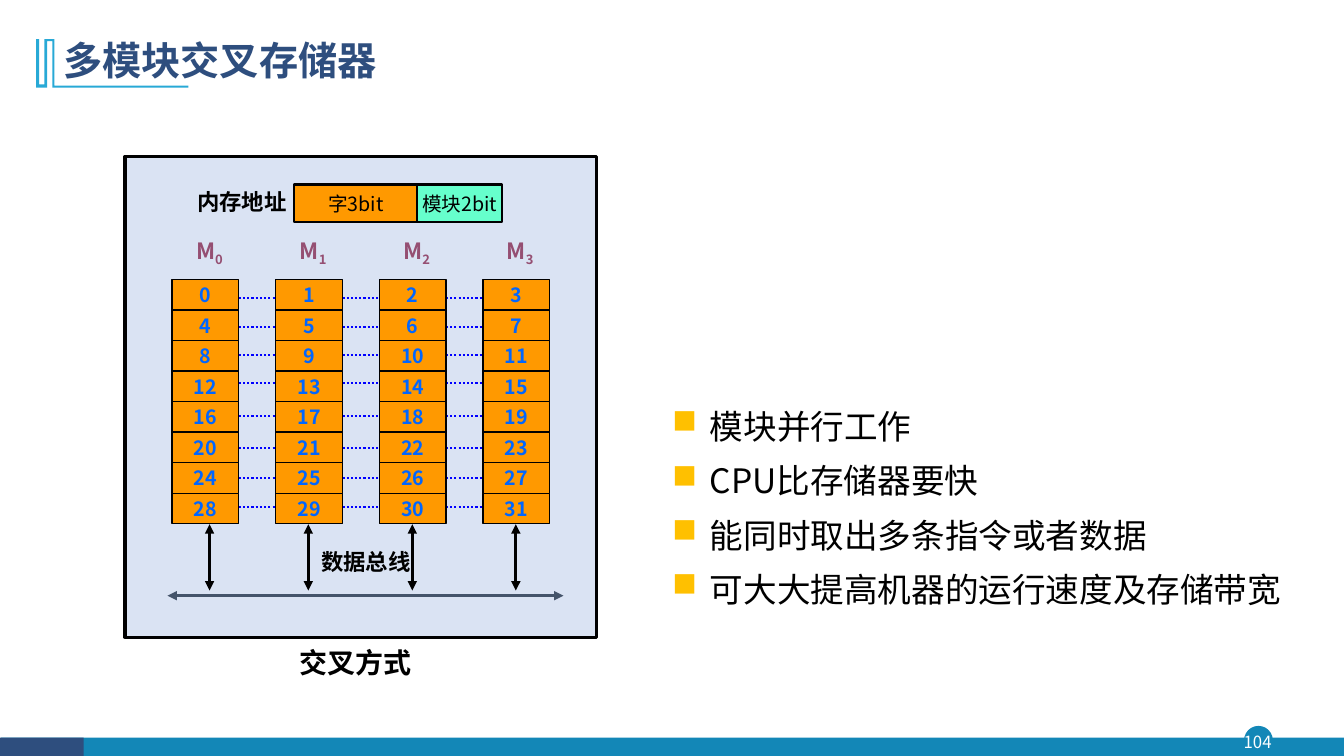
from lxml import etree
from pptx import Presentation
from pptx import util as u
from pptx.dml.color import RGBColor
from pptx.enum import dml, shapes, text
from pptx.oxml.ns import qn

# Content; all lengths in cm
FONT = "Noto Sans CJK SC"
TITLE = "多模块交叉存储器"
PAGE_NUMBER = "104"
POINTS = [
    "模块并行工作",
    "CPU比存储器要快",
    "能同时取出多条指令或者数据",
    "可大大提高机器的运行速度及存储带宽",
]
LABELS = [
    ("内存地址", (4.55, 4.62, 3.1, 0.94), 16),
    ("数据总线", (7.67, 13.69, 3.1, 0.94), 16),
    ("交叉方式", (6.83, 16.13, 4.27, 1.12), 20),
]
ADDRESS_FIELDS = [
    ("模块2bit", (10.52, 4.65, 2.13, 0.94), "66FFCC"),
    ("字3bit", (7.42, 4.65, 3.1, 0.94), "FF9900"),
]
FOOTER = [
    (shapes.MSO_SHAPE.OVAL, (31.37, 18.31, 0.69, 0.69), "1387B7", ("1387B7", 1)),
    (shapes.MSO_SHAPE.RECTANGLE, (0.03, 18.59, 33.84, 0.46), "1387B7", None),
    (shapes.MSO_SHAPE.RECTANGLE, (0, 18.59, 2.11, 0.46), "2E4E7E", None),
]
TITLE_MARK = [
    (1.37, 0.99), (1.37, 2.16), (4.75, 2.16), (4.75, 2.21), (1.32, 2.21),
    (1.32, 1.04), (1.19, 1.04), (1.19, 2.21), (0.91, 2.21), (0.91, 0.99),
    (0.99, 0.99), (0.99, 2.13), (1.12, 2.13), (1.12, 0.99),
]
MODULES, WORDS = 4, 8
MODULE_LEFT, MODULE_TOP, MODULE_PITCH = 4.34, 7.04, 2.61
CELL_WIDTH, CELL_HEIGHT = 1.68, 0.77
DOT_ROWS = [7.52, 8.23, 8.94, 9.65, 10.49, 11.28, 12.04, 12.78]
BUS_ARROWS = [5.28, 7.77, 10.39, 13.0]

presentation = Presentation()
presentation.slide_width, presentation.slide_height = u.Cm(33.87), u.Cm(19.05)
slide = presentation.slides.add_slide(presentation.slide_layouts[6])


def color(target, value):
    target.rgb = RGBColor.from_string(value)


def apply(target, values):
    for name, value in values.items():
        setattr(target, name, value)


def box(cm):
    return [u.Cm(value) for value in cm]


def add_run(paragraph, words, size, ink, bold=False):
    run = paragraph.add_run()
    run.text = words
    apply(run.font, {"name": FONT, "size": u.Pt(size), "bold": bold})
    color(run.font.color, ink)
    properties = run.font._element
    etree.SubElement(properties, qn("a:ea"), typeface=FONT)
    return properties


def paint(shape, fill, line=None):
    shape.shadow.inherit = False
    shape.fill.solid()
    color(shape.fill.fore_color, fill)
    if line:
        color(shape.line.color, line[0])
        shape.line.width = u.Pt(line[1])
    else:
        shape.line.fill.background()


def add_shape(kind, place, fill, line=None):
    shape = slide.shapes.add_shape(kind, *box(place))
    paint(shape, fill, line)
    return shape


def add_labelled_box(words, place, fill, width, ink, bold=False):
    shape = add_shape(shapes.MSO_SHAPE.RECTANGLE, place, fill, ("000000", width))
    apply(shape.text_frame, {"word_wrap": False, "vertical_anchor": text.MSO_ANCHOR.MIDDLE})
    paragraph = shape.text_frame.paragraphs[0]
    paragraph.alignment = text.PP_ALIGN.CENTER
    add_run(paragraph, words, 14, ink, bold)


def add_text(place, align=text.PP_ALIGN.CENTER, **frame_values):
    """Add a wrapping text box and return its first paragraph."""
    frame = slide.shapes.add_textbox(*box(place)).text_frame
    apply(frame, {"word_wrap": True, **frame_values})
    frame.paragraphs[0].alignment = align
    return frame.paragraphs[0]


def add_line(start, end, ink, width, dotted=False):
    """Add a dotted line, or a solid one with an arrowhead at both ends."""
    line = slide.shapes.add_connector(shapes.MSO_CONNECTOR.STRAIGHT, *box(start + end))
    color(line.line.color, ink)
    line.line.width = u.Pt(width)
    if dotted:
        line.line.dash_style = dml.MSO_LINE.ROUND_DOT
    else:
        for end_name in ("a:headEnd", "a:tailEnd"):
            etree.SubElement(line.line._get_or_add_ln(), qn(end_name), type="triangle")
    etree.SubElement(line._element.spPr, qn("a:effectLst"))


def add_points(place):
    first = add_text(place, text.PP_ALIGN.LEFT)
    frame = first._parent
    for index, words in enumerate(POINTS):
        paragraph = frame.add_paragraph() if index else first
        properties = paragraph._p.get_or_add_pPr()
        properties.set("marL", str(u.Cm(0.95)))
        properties.set("indent", str(-u.Cm(0.95)))
        bullet_color = etree.SubElement(properties, qn("a:buClr"))
        etree.SubElement(bullet_color, qn("a:srgbClr"), val="FFC000")
        etree.SubElement(properties, qn("a:buChar"), char="■")
        if index:
            paragraph.space_before = u.Pt(10)
        add_run(paragraph, words, 24, "000000")


def add_modules():
    lefts = [MODULE_LEFT + MODULE_PITCH * module for module in range(MODULES)]
    for y in DOT_ROWS:
        for left, following in zip(lefts, lefts[1:]):
            add_line((left + CELL_WIDTH, y), (following, y), "0000FF", 1.5, dotted=True)
    for module, left in enumerate(lefts):
        name = add_text((left + 0.23, 5.84, 1.42, 0.94))
        add_run(name, "M", 16, "954F72", True)
        add_run(name, str(module), 16, "954F72", True).set("baseline", "-25000")
        for word in range(WORDS):
            place = (left, MODULE_TOP + CELL_HEIGHT * word, CELL_WIDTH, CELL_HEIGHT)
            add_labelled_box(str(word * MODULES + module), place, "FF9900", 1, "0066FF", True)


for kind, place, fill, line in FOOTER:
    add_shape(kind, place, fill, line)
no_margins = {f"margin_{side}": 0 for side in ("left", "right", "top", "bottom")}
number = add_text((31.29, 18.31, 0.81, 0.79),
                  vertical_anchor=text.MSO_ANCHOR.MIDDLE, **no_margins)
add_run(number, PAGE_NUMBER, 12, "FFFFFF")

outline = slide.shapes.build_freeform(*box(TITLE_MARK[0]), scale=1.0)
outline.add_line_segments([box(point) for point in TITLE_MARK[1:]], close=True)
paint(outline.convert_to_shape(), "28A9D6")
title = add_text((1.35, 0.71, 29.21, 1.73), text.PP_ALIGN.LEFT,
                 vertical_anchor=text.MSO_ANCHOR.MIDDLE)
title.line_spacing = 0.9
add_run(title, TITLE, 28, "2E4E7E", True)

add_shape(shapes.MSO_SHAPE.RECTANGLE, (3.15, 3.94, 11.89, 12.12), "DAE3F3", ("000000", 2.25))
for words, place, fill in ADDRESS_FIELDS:
    add_labelled_box(words, place, fill, 1.5, "000000")
for x in BUS_ARROWS:
    add_line((x, 13.21), (x, 14.88), "000000", 2.25)
add_line((4.22, 15.01), (14.2, 15.01), "44546A", 2.25)
for words, place, size in LABELS:
    label = add_text(place, auto_size=text.MSO_AUTO_SIZE.SHAPE_TO_FIT_TEXT)
    add_run(label, words, size, "000000", True)
add_modules()
add_points((16.69, 10.1, 16.69, 8.2))

presentation.save("out.pptx")
